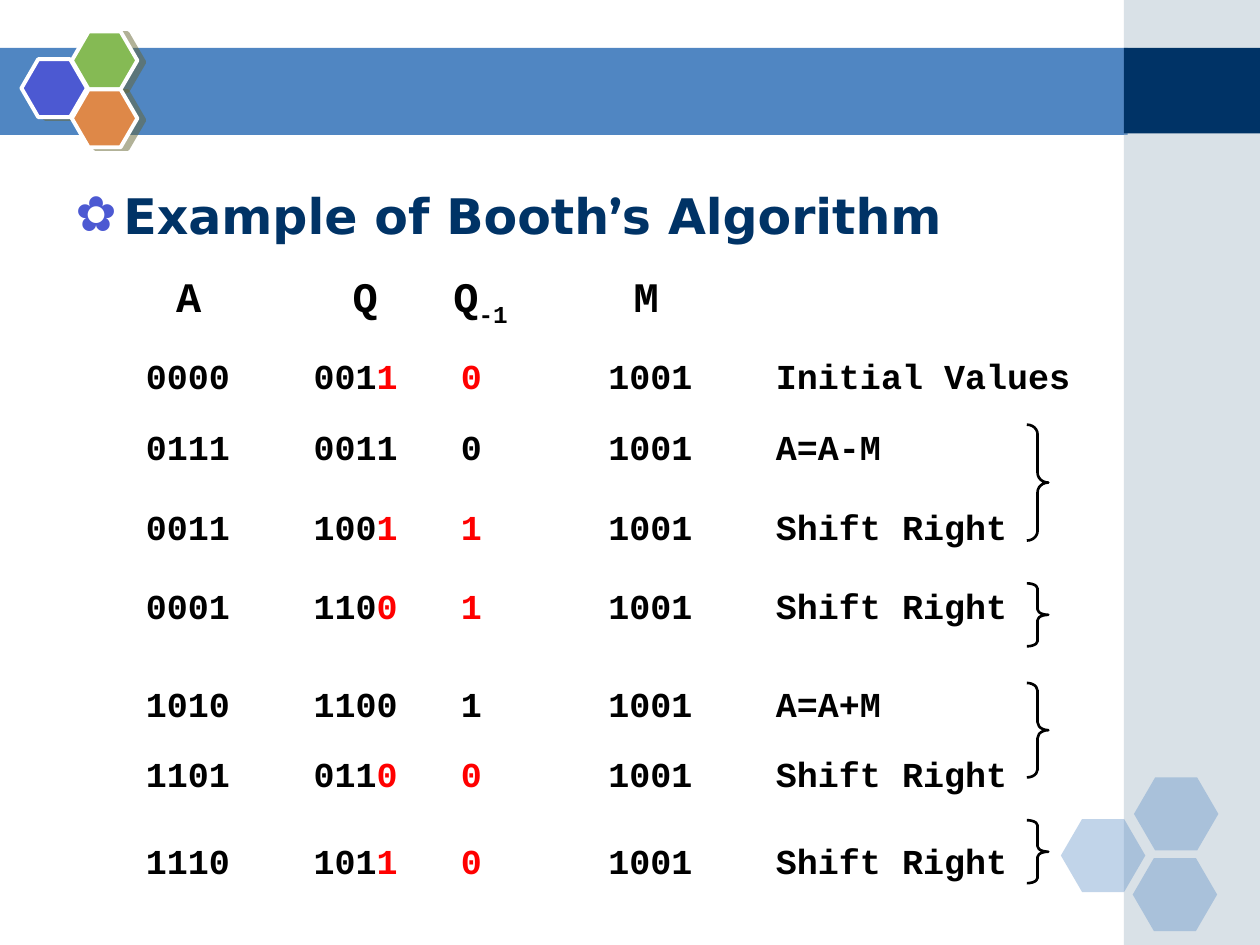
from typing import NamedTuple

from lxml import etree
from pptx import Presentation
from pptx.dml.color import RGBColor
from pptx.enum.shapes import MSO_SHAPE
from pptx.oxml.ns import qn
from pptx.util import Inches, Pt

RECT = MSO_SHAPE.RECTANGLE
HEXAGON = MSO_SHAPE.HEXAGON
RIGHT_BRACE = MSO_SHAPE.RIGHT_BRACE

WHITE = RGBColor(0xFF, 0xFF, 0xFF)
BLACK = RGBColor(0x00, 0x00, 0x00)
RED = RGBColor(0xFF, 0x00, 0x00)
NAVY = RGBColor(0x00, 0x33, 0x66)
BLUE = RGBColor(0x50, 0x86, 0xC2)
GRAY = RGBColor(0xA0, 0xB5, 0xC4)
INDIGO = RGBColor(0x4C, 0x59, 0xD2)
GREEN = RGBColor(0x85, 0xBA, 0x54)
ORANGE = RGBColor(0xDE, 0x88, 0x48)
OLIVE = RGBColor(0x66, 0x66, 0x33)

MONO = "Courier New"
MULTIPLIER = "1001"
ROW_TABS = (1.33, 2.5, 3.67, 5.0)
HEADER_TABS = (1.4, 2.2, 3.63)


class Block(NamedTuple):
    shape: int
    left: float
    top: float
    width: float
    height: float
    color: RGBColor
    alpha: int = 100


class Step(NamedTuple):
    top: float
    a: str
    q: str
    q1: str
    note: str
    marked: bool = True


class Brace(NamedTuple):
    top: float
    height: float


BLOCKS = [
    Block(RECT, 0, 0.38, 8.95, 0.69, BLUE),
    Block(RECT, 8.92, 0, 1.08, 7.5, GRAY, 40),
    Block(RECT, 8.92, 0.38, 1.08, 0.68, NAVY),
    Block(HEXAGON, 8.42, 6.5, 0.67, 0.58, BLUE, 35),
    Block(HEXAGON, 9, 6.17, 0.67, 0.58, BLUE, 35),
    Block(HEXAGON, 8.99, 6.81, 0.67, 0.58, BLUE, 35),
]
EMBLEM = [
    Block(HEXAGON, 0.17, 0.47, 0.52, 0.46, INDIGO),
    Block(HEXAGON, 0.57, 0.25, 0.52, 0.46, GREEN),
    Block(HEXAGON, 0.57, 0.71, 0.52, 0.46, ORANGE),
]
STEPS = [
    Step(2.73, "0000", "0011", "0", "Initial Values"),
    Step(3.3, "0111", "0011", "0", "A=A-M", False),
    Step(3.93, "0011", "1001", "1", "Shift Right"),
    Step(4.56, "0001", "1100", "1", "Shift Right"),
    Step(5.34, "1010", "1100", "1", "A=A+M", False),
    Step(5.89, "1101", "0110", "0", "Shift Right"),
    Step(6.58, "1110", "1011", "0", "Shift Right"),
]
BRACES = [Brace(3.37, 0.92), Brace(4.63, 0.5), Brace(5.42, 0.75), Brace(6.51, 0.5)]


def sub(parent, tag: str, **attrs):
    return etree.SubElement(parent, qn(tag), {k: str(v) for k, v in attrs.items()})


def add_block(s, block: Block):
    sp = s.shapes.add_shape(block.shape, Inches(block.left), Inches(block.top),
                            Inches(block.width), Inches(block.height))
    sp.shadow.inherit = False
    sp.fill.solid()
    sp.fill.fore_color.rgb = block.color
    sp.line.fill.background()
    if block.shape == HEXAGON:
        sp.adjustments[0] = 0.29
    if block.alpha < 100:
        color = sp.fill._xPr.find(qn("a:solidFill"))[0]
        sub(color, "a:alpha", val=block.alpha * 1000)
    return sp


def add_emblem_part(s, block: Block) -> None:
    """Draw a hexagon with a white outline and a hard shadow to its right."""
    sp = add_block(s, block)
    sp.line.color.rgb = WHITE
    sp.line.width = Pt(2.25)
    effects = sp._element.spPr.find(qn("a:effectLst"))
    shadow = sub(effects, "a:outerShdw", blurRad=0, dist=Pt(4.1), dir=14 * 60000)
    color = sub(shadow, "a:srgbClr", val=OLIVE)
    sub(color, "a:alpha", val=50000)


def add_mono_line(s, left: float, top: float, width: float, height: float,
                  size: int, tabs: tuple[float, ...]):
    """Add a one-line text box with tab stops and return its paragraph."""
    tf = s.shapes.add_textbox(Inches(left), Inches(top),
                              Inches(width), Inches(height)).text_frame
    tf.word_wrap = True
    tf.margin_top = Inches(0.08)
    tf.margin_bottom = Inches(0.04)
    p = tf.paragraphs[0]
    tab_list = sub(p._p.get_or_add_pPr(), "a:tabLst")
    for tab in tabs:
        sub(tab_list, "a:tab", pos=Inches(tab), algn="l")
    p.font.name = MONO
    p.font.size = Pt(size)
    p.font.bold = True
    p.font.color.rgb = BLACK
    return p


def add_run(p, text: str):
    r = p.add_run()
    r.text = text
    return r


def add_step(s, step: Step) -> None:
    p = add_mono_line(s, 1.06, step.top, 7.75, 0.44, 20, ROW_TABS)
    add_run(p, f"{step.a}\t{step.q[:-1]}")
    compared = add_run(p, f"{step.q[-1]}\t{step.q1}")
    if step.marked:
        compared.font.color.rgb = RED
    add_run(p, f"\t{MULTIPLIER}\t{step.note}")


def add_header(s) -> None:
    p = add_mono_line(s, 1.3, 2.07, 8.1, 0.66, 24, HEADER_TABS)
    add_run(p, "A\tQ\tQ")
    add_run(p, "-1").font._element.set("baseline", "-25000")
    add_run(p, "\tM")


def add_brace(s, brace: Brace) -> None:
    width = 0.17
    sp = s.shapes.add_shape(RIGHT_BRACE, Inches(8.15), Inches(brace.top),
                            Inches(width), Inches(brace.height))
    sp.shadow.inherit = False
    sp.adjustments[0] = brace.height / 12 / width
    sp.fill.background()
    sp.line.color.rgb = BLACK
    sp.line.width = Pt(1.5)


def fill_body(body) -> None:
    body.left, body.top = Inches(0.5), Inches(1.42)
    body.width, body.height = Inches(9), Inches(5.5)
    p = body.text_frame.paragraphs[0]
    p.space_before = Pt(0)
    p.line_spacing = 1.0
    pPr = p._p.get_or_add_pPr()
    pPr.set("marL", str(Inches(0.38)))
    pPr.set("indent", str(Inches(-0.38)))
    sub(sub(pPr, "a:buClr"), "a:srgbClr", val=INDIGO)
    sub(pPr, "a:buChar", char="✿")
    p.font.size = Pt(28)
    p.font.bold = True
    p.font.color.rgb = NAVY
    for text, font in (("Example of Booth", "DejaVu Sans"), ("’", "Montserrat"),
                       ("s Algorithm", "DejaVu Sans")):
        add_run(p, text).font.name = font


def main() -> None:
    prs = Presentation()
    prs.slide_width, prs.slide_height = Inches(10), Inches(7.5)
    s = prs.slides.add_slide(prs.slide_layouts[1])
    title = s.shapes.title._element
    title.getparent().remove(title)
    fill_body(s.placeholders[1])
    for block in BLOCKS:
        add_block(s, block)
    for block in EMBLEM:
        add_emblem_part(s, block)
    add_header(s)
    for step in STEPS:
        add_step(s, step)
    for brace in BRACES:
        add_brace(s, brace)
    prs.save("out.pptx")


if __name__ == "__main__":
    main()
